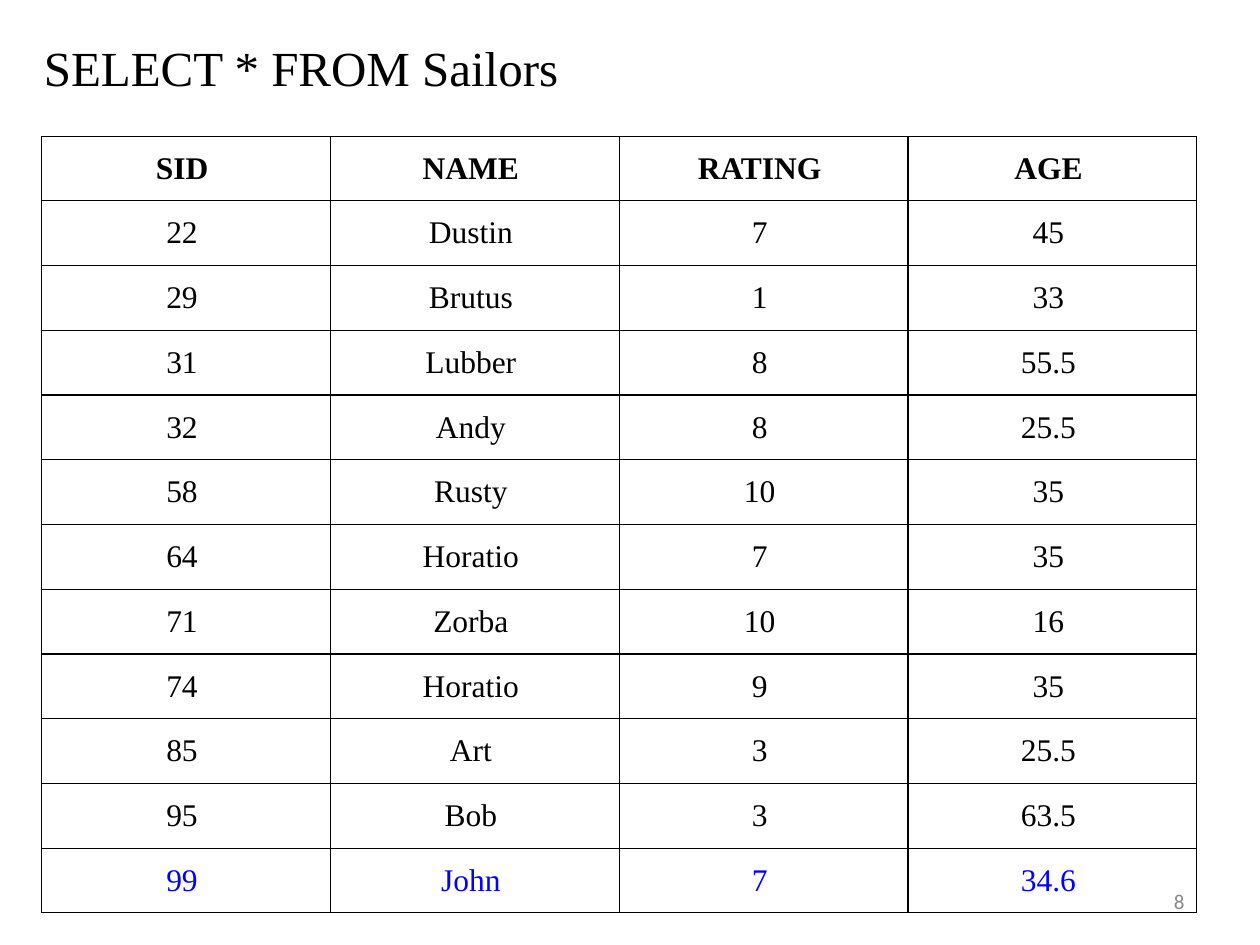
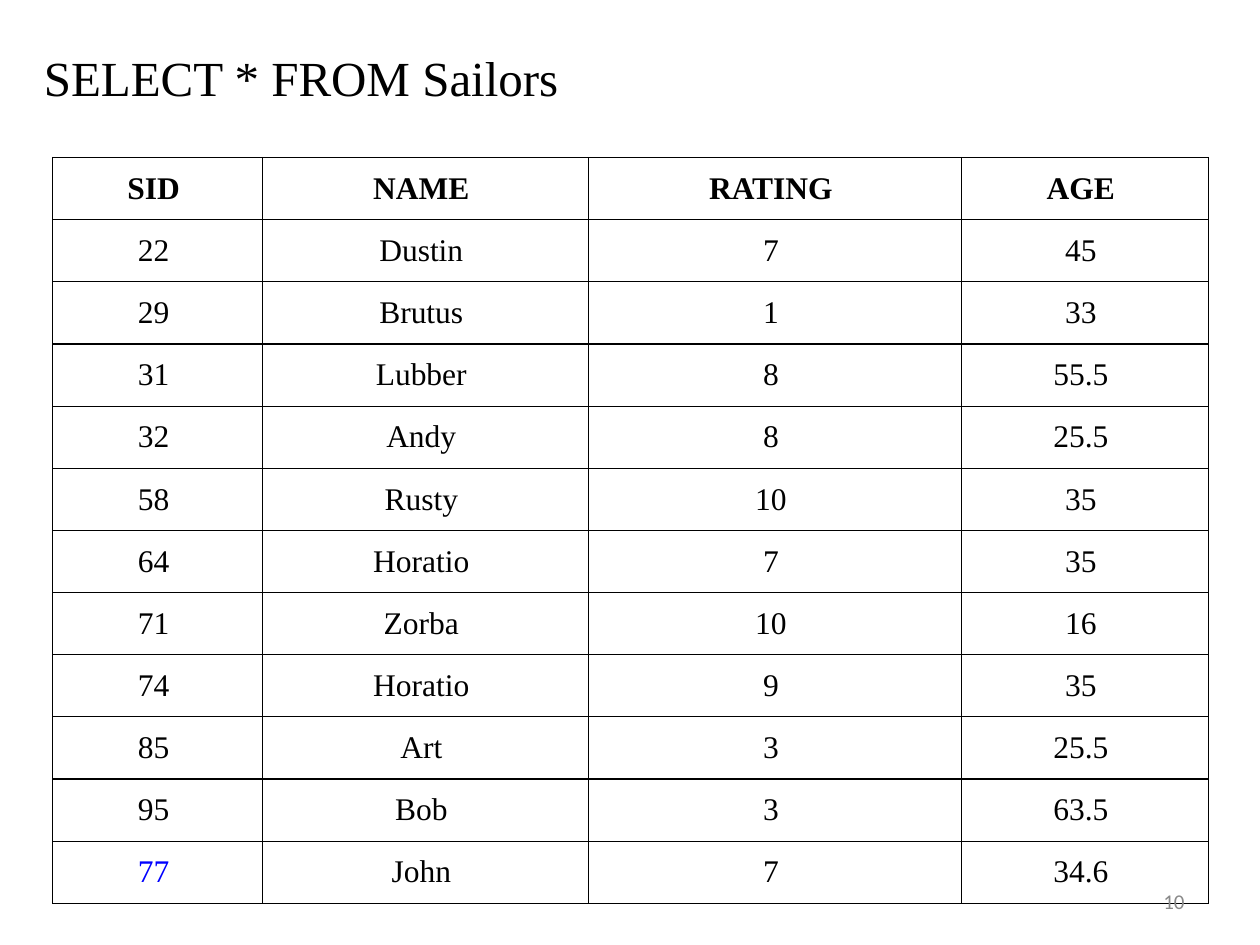
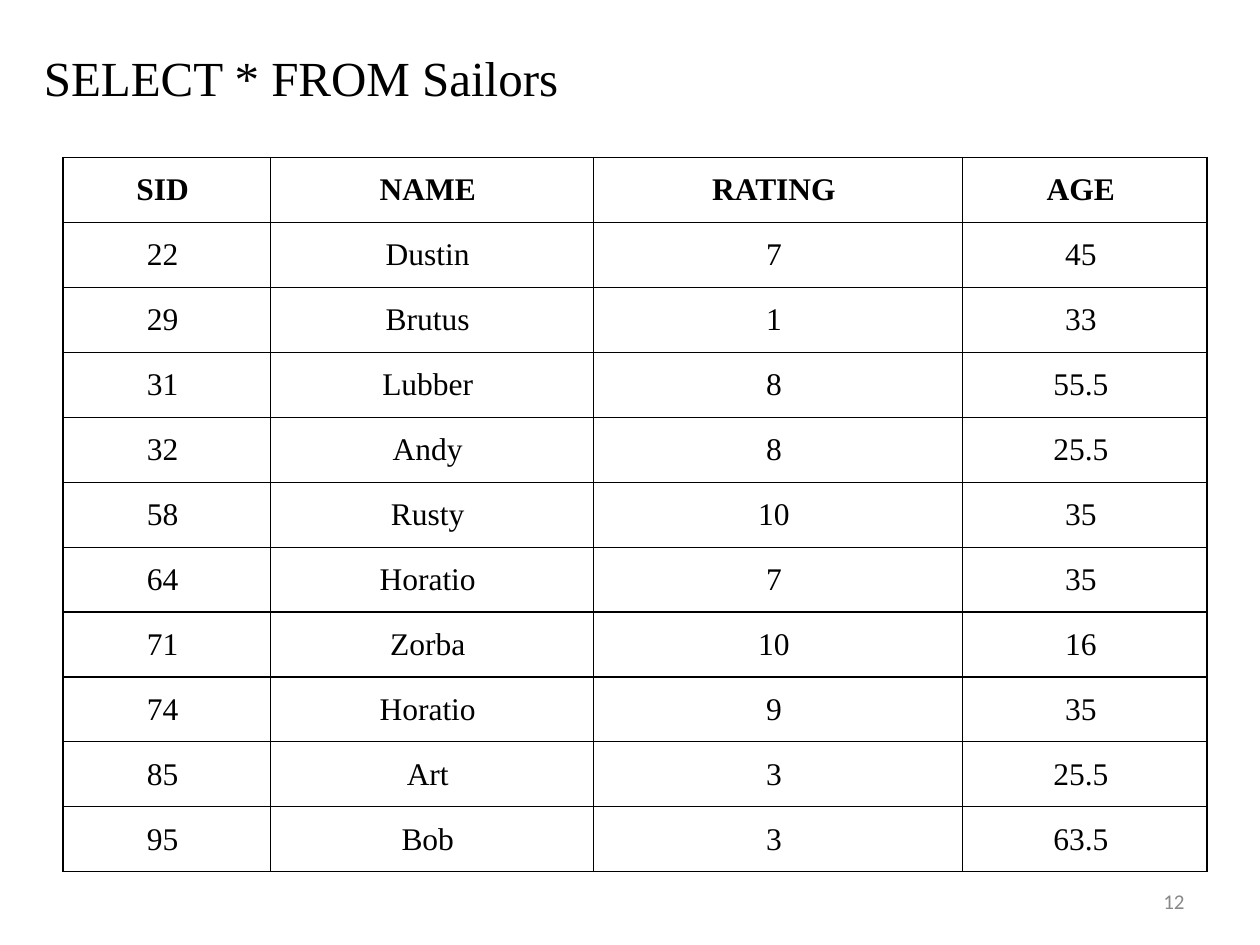
from dataclasses import dataclass

from lxml import etree
from pptx import Presentation
from pptx import util as u
from pptx.dml.color import RGBColor
from pptx.enum import text
from pptx.oxml.ns import qn


@dataclass(frozen=True)
class Theme:
    """Colours, fonts, type sizes and measures shared by the slides."""
    ink: str = "000000"
    changed: str = "0000FF"
    muted: str = "898989"
    serif: str = "Times New Roman"
    sans: str = "Calibri"
    title_size: int = 28
    cell_size: int = 18
    number_size: int = 12
    border: float = 0.75
    width: float = 10
    height: float = 7.5


THEME = Theme()
TITLE = "SELECT * FROM Sailors"
HEADER = ("SID", "NAME", "RATING", "AGE")
SAILORS = [
    ("22", "Dustin", "7", "45"),
    ("29", "Brutus", "1", "33"),
    ("31", "Lubber", "8", "55.5"),
    ("32", "Andy", "8", "25.5"),
    ("58", "Rusty", "10", "35"),
    ("64", "Horatio", "7", "35"),
    ("71", "Zorba", "10", "16"),
    ("74", "Horatio", "9", "35"),
    ("85", "Art", "3", "25.5"),
    ("95", "Bob", "3", "63.5"),
]
EVEN_COLUMNS = (1, 1, 1, 1)
FITTED_COLUMNS = (1.66, 2.59, 2.96, 1.96)

TITLE_FORMAT = {"name": THEME.serif, "size": u.Pt(THEME.title_size)}
NUMBER_FORMAT = {"name": THEME.sans, "size": u.Pt(THEME.number_size)}
CELL_FORMAT = {"name": THEME.serif, "size": u.Pt(THEME.cell_size), "bold": False}
HEADER_FORMAT = {**CELL_FORMAT, "bold": True}


def set_attributes(target, values):
    """Set each named attribute of the target."""
    for name, value in values.items():
        setattr(target, name, value)


def write(paragraph, words, font_format, color, alignment):
    """Write one formatted run into a paragraph."""
    paragraph.alignment = alignment
    run = paragraph.add_run()
    run.text = words
    set_attributes(run.font, font_format)
    run.font.color.rgb = RGBColor.from_string(color)


def add_text(slide, box, words, font_format, color, alignment, frame_format):
    """Add a wrapped text box at left, top, width, height in inches."""
    shape = slide.shapes.add_textbox(*map(u.Inches, box))
    set_attributes(shape.text_frame, {"word_wrap": True, **frame_format})
    write(shape.text_frame.paragraphs[0], words, font_format, color, alignment)


def add_title(slide, top, width):
    """Add the query as the slide title."""
    add_text(slide, (0.25, top, width, 0.57), TITLE, TITLE_FORMAT, THEME.ink,
             text.PP_ALIGN.LEFT, {"auto_size": text.MSO_AUTO_SIZE.SHAPE_TO_FIT_TEXT})


def add_number(slide, number):
    """Add the slide number at the lower right."""
    add_text(slide, (7.17, 6.95, 2.33, 0.4), str(number), NUMBER_FORMAT, THEME.muted,
             text.PP_ALIGN.RIGHT, {"vertical_anchor": text.MSO_ANCHOR.MIDDLE})


def draw_borders(cell):
    """Draw a thin line on all four sides of a cell."""
    properties = cell._tc.get_or_add_tcPr()
    for index, side in enumerate(("lnL", "lnR", "lnT", "lnB")):
        line = etree.Element(qn(f"a:{side}"), w=str(u.Pt(THEME.border)))
        fill = etree.SubElement(line, qn("a:solidFill"))
        etree.SubElement(fill, qn("a:srgbClr"), val=THEME.ink)
        properties.insert(index, line)


def fill_cell(cell, value, font_format, color):
    """Write a centred value into an unfilled, bordered cell."""
    cell.fill.background()
    cell.vertical_anchor = text.MSO_ANCHOR.MIDDLE
    write(cell.text_frame.paragraphs[0], f"{value} ", font_format, color,
          text.PP_ALIGN.CENTER)
    draw_borders(cell)


def add_sailors(slide, box, shares, records, changed):
    """Add the sailors table, with the changed values of its last row coloured."""
    rows = [HEADER, *records]
    left, top, width, height = map(u.Inches, box)
    table = slide.shapes.add_table(len(rows), len(HEADER), left, top, width, height).table
    set_attributes(table, {"first_row": False, "horz_banding": False})
    for column, share in zip(table.columns, shares):
        column.width = round(width * share / sum(shares))
    for row in table.rows:
        row.height = round(height / len(rows))
    for row_index, values in enumerate(rows):
        font_format = CELL_FORMAT if row_index else HEADER_FORMAT
        for column_index, value in enumerate(values):
            is_changed = row_index == len(rows) - 1 and column_index < changed
            fill_cell(table.cell(row_index, column_index), value, font_format,
                      THEME.changed if is_changed else THEME.ink)


def add_result_slide(presentation, number, title, box, shares, records, changed=0):
    """Add a slide with the query and its result."""
    slide = presentation.slides.add_slide(presentation.slide_layouts[6])
    add_sailors(slide, box, shares, records, changed)
    add_title(slide, *title)
    add_number(slide, number)


def main():
    """Build the three query results."""
    presentation = Presentation()
    set_attributes(presentation, {"slide_width": u.Inches(THEME.width),
                                  "slide_height": u.Inches(THEME.height)})
    inserted = SAILORS + [("99", "John", "7", "34.6")]
    updated = SAILORS + [("77", "John", "7", "34.6")]
    add_result_slide(presentation, 8, (0.25, 9), (0.33, 1.08, 9.17, 6.17),
                     EVEN_COLUMNS, inserted, changed=len(HEADER))
    add_result_slide(presentation, 10, (0.33, 9.42), (0.42, 1.25, 9.17, 5.92),
                     FITTED_COLUMNS, updated, changed=1)
    add_result_slide(presentation, 12, (0.33, 9.5), (0.5, 1.25, 9.08, 5.67),
                     FITTED_COLUMNS, SAILORS)
    presentation.save("out.pptx")


if __name__ == "__main__":
    main()
